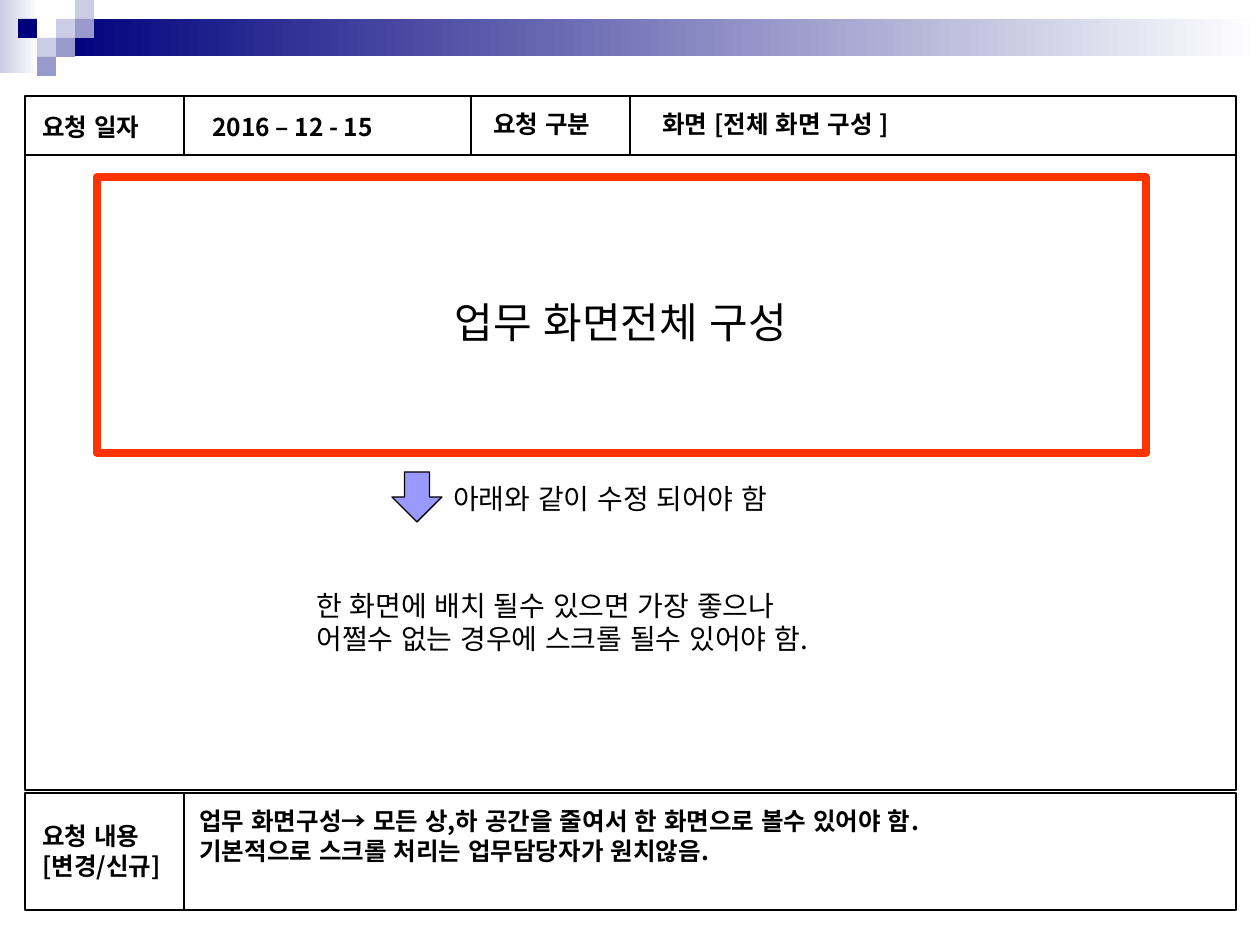
from dataclasses import dataclass
from typing import Optional

from lxml import etree
from pptx import Presentation, util as u
from pptx.dml import color
from pptx.enum import lang, shapes, text
from pptx.oxml import ns

PX = u.Inches(1) / 126
FONT = "Noto Sans CJK KR"
BLACK, NAVY, LAVENDER, VIOLET, WHITE = "000000", "00007D", "CCCCE6", "9999CC", "FFFFFF"


@dataclass
class Block:
    left: int
    top: int
    width: int
    height: int
    fill: tuple[str, ...] = ()
    line: Optional[str] = None
    weight: float = 0.75
    preset: shapes.MSO_SHAPE = shapes.MSO_SHAPE.RECTANGLE


@dataclass
class Label:
    left: int
    top: int
    width: int
    height: int
    lines: tuple[str, ...]
    size: int = 14
    bold: bool = True


def px(length: float) -> int:
    return round(length * PX)


def rgb(value: str) -> color.RGBColor:
    return color.RGBColor.from_string(value)


def draw_block(slide, block: Block) -> None:
    shape = slide.shapes.add_shape(
        block.preset, *map(px, (block.left, block.top, block.width, block.height)))
    shape.shadow.inherit = False
    if len(block.fill) == 2:
        shape.fill.gradient()
        shape.fill.gradient_angle = 0
        for stop, value in zip(shape.fill.gradient_stops, block.fill):
            stop.color.rgb = rgb(value)
    elif block.fill:
        shape.fill.solid()
        shape.fill.fore_color.rgb = rgb(block.fill[0])
    else:
        shape.fill.background()
    if block.line:
        shape.line.color.rgb = rgb(block.line)
        shape.line.width = u.Pt(block.weight)
    else:
        shape.line.fill.background()


def draw_divider(slide, x: int, top: int, bottom: int) -> None:
    divider = slide.shapes.add_connector(
        shapes.MSO_CONNECTOR.STRAIGHT, *map(px, (x, top, x, bottom)))
    divider.line.color.rgb = rgb(BLACK)
    divider.line.width = u.Pt(0.75)
    etree.SubElement(divider._element.spPr, ns.qn("a:effectLst"))


def draw_label(slide, label: Label) -> None:
    frame = slide.shapes.add_textbox(
        *map(px, (label.left, label.top, label.width, label.height))).text_frame
    frame.word_wrap = True
    frame.vertical_anchor = text.MSO_ANCHOR.TOP
    font_format = {"name": FONT, "size": u.Pt(label.size), "bold": label.bold,
                   "language_id": lang.MSO_LANGUAGE_ID.KOREAN}
    for index, line in enumerate(label.lines):
        paragraph = frame.add_paragraph() if index else frame.paragraphs[0]
        run = paragraph.add_run()
        run.text = line
        for attribute, value in font_format.items():
            setattr(run.font, attribute, value)
        run.font.color.rgb = rgb(BLACK)
        east_asian = etree.SubElement(run._r.get_or_add_rPr(), ns.qn("a:ea"))
        east_asian.set("typeface", FONT)


deck = Presentation()
deck.slide_width, deck.slide_height = u.Inches(10), u.Inches(7.5)
slide = deck.slides.add_slide(deck.slide_layouts[6])

# Banner: two gradients and a mosaic on a square grid
TILE = 19
banner = [Block(0, 0, 39, 73, (LAVENDER, WHITE)),
          Block(57, 19, 1203, 37, (NAVY, WHITE))]
mosaic = [(2, 1, LAVENDER), (3, 0, LAVENDER), (3, 1, VIOLET), (1, 2, LAVENDER),
          (0, 1, NAVY), (2, 2, VIOLET), (1, 3, VIOLET)]
banner += [Block(18 + column * TILE, row * TILE, TILE, TILE, (tint,))
           for column, row, tint in mosaic]

# Form: header, body and request rows with their dividers
FORM_LEFT, FORM_WIDTH = 25, 1211
HEADER, BODY, REQUEST = (96, 155), (155, 790), (793, 910)
form = [Block(FORM_LEFT, top, FORM_WIDTH, bottom - top, line=BLACK)
        for top, bottom in (HEADER, BODY, REQUEST)]
for block in banner + form:
    draw_block(slide, block)
for x, row in ((184, REQUEST), (184, HEADER), (471, HEADER), (630, HEADER)):
    draw_divider(slide, x, *row)

# Screen outline and arrow
draw_block(slide, Block(97, 177, 1049, 276, line="FF3300", weight=4.5))
draw_block(slide, Block(392, 472, 50, 50, ("9999FF",), BLACK,
                        preset=shapes.MSO_SHAPE.DOWN_ARROW))

# Wording
labels = [
    Label(30, 106, 141, 43, ("요청 일자",)),
    Label(200, 106, 271, 43, ("2016 – 12 - 15",)),
    Label(481, 103, 134, 43, ("요청 구분",)),
    Label(650, 103, 566, 43, ("화면 [전체 화면 구성 ]",)),
    Label(30, 815, 161, 72, ("요청 내용", "[변경/신규]")),
    Label(187, 800, 1048, 72, ("업무 화면구성→ 모든 상,하 공간을 줄여서 한 화면으로 볼수 있어야 함.",
                               "기본적으로 스크롤 처리는 업무담당자가 원치않음.")),
    Label(441, 475, 377, 47, ("아래와 같이 수정 되어야 함",), 16, False),
    Label(442, 290, 394, 63, ("업무 화면전체 구성",), 24, False),
    Label(304, 582, 572, 81, ("한 화면에 배치 될수 있으면 가장 좋으나",
                              "어쩔수 없는 경우에 스크롤 될수 있어야 함."), 16, False),
]
for label in labels:
    draw_label(slide, label)

deck.save("out.pptx")
